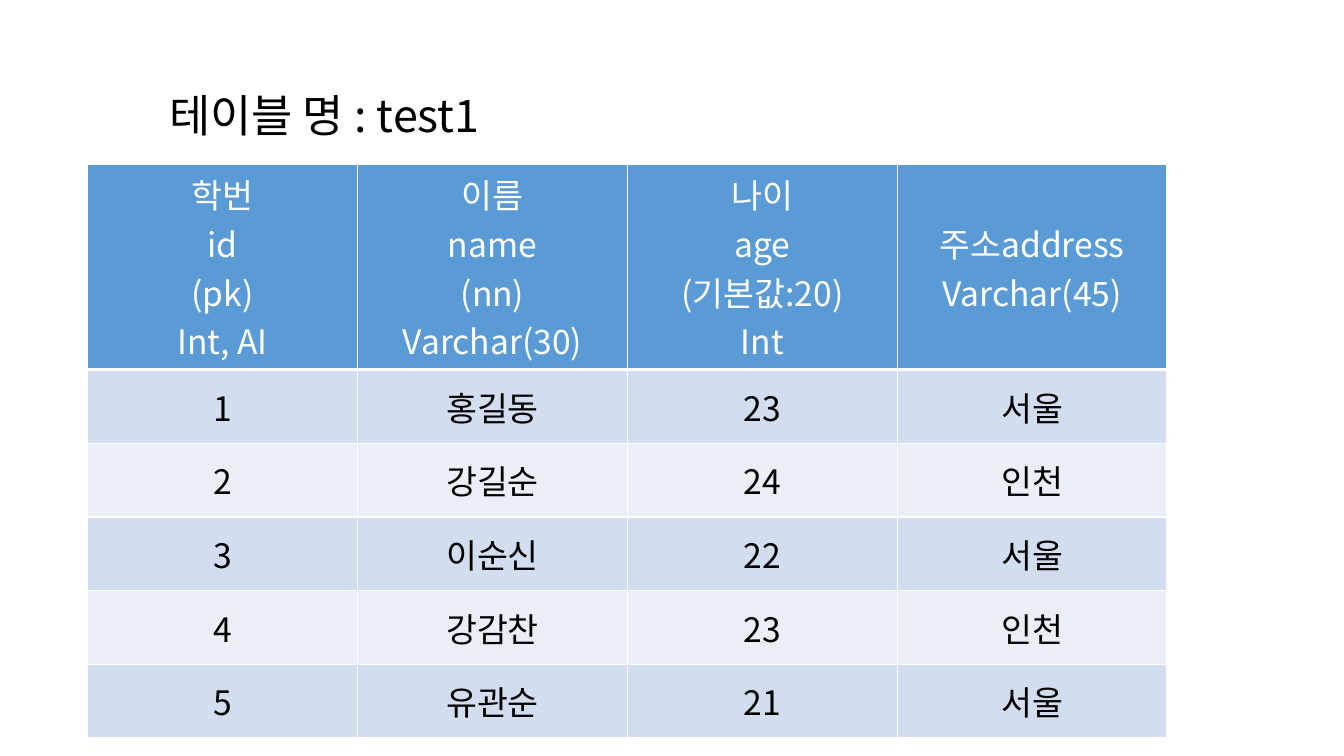
from lxml import etree
from pptx import Presentation
from pptx.dml.color import RGBColor
from pptx.enum import text
from pptx.oxml.ns import qn
from pptx.util import Pt

FONT = "Noto Sans CJK KR"
WHITE, BLACK, BLUE = "FFFFFF", "000000", "5B9BD5"
BANDS = ("D2DEEF", "EAEFF7")
HEADER = (
    ("학번", "id", "(pk)", "Int, AI"),
    ("이름", "name", "(nn)", "Varchar(30)"),
    ("나이", "age", "(기본값:20)", "Int"),
    ("주소address", "Varchar(45)"),
)
STUDENTS = (
    ("1", "홍길동", "23", "서울"),
    ("2", "강길순", "24", "인천"),
    ("3", "이순신", "22", "서울"),
    ("4", "강감찬", "23", "인천"),
    ("5", "유관순", "21", "서울"),
)
COL_W, HEADER_H, ROW_H = 192.75, 146, 52.65


def rgb(value):
    return RGBColor.from_string(value)


def write(tf, lines, size, color, align):
    for i, line in enumerate(lines):
        p = tf.paragraphs[0] if i == 0 else tf.add_paragraph()
        p.alignment = align
        r = p.add_run()
        r.text = line
        for name, value in {"size": Pt(size), "name": FONT}.items():
            setattr(r.font, name, value)
        r.font.color.rgb = rgb(color)
        # East Asian typeface
        etree.SubElement(r.font._element, qn("a:ea"), typeface=FONT)


def add_borders(cell, bottom):
    tcPr = cell._tc.get_or_add_tcPr()
    for side, width in {"L": 1, "R": 1, "T": 1, "B": bottom}.items():
        ln = etree.SubElement(tcPr, qn("a:ln" + side), w=str(Pt(width)))
        fill = etree.SubElement(ln, qn("a:solidFill"))
        etree.SubElement(fill, qn("a:srgbClr"), val=WHITE)


def fill_cell(cell, lines, fill, color, bottom=1):
    add_borders(cell, bottom)
    cell.fill.solid()
    cell.fill.fore_color.rgb = rgb(fill)
    cell.vertical_anchor = text.MSO_ANCHOR.MIDDLE
    write(cell.text_frame, lines, 24, color, text.PP_ALIGN.CENTER)


def add_title(s, title, left, top, width, height):
    tf = s.shapes.add_textbox(Pt(left), Pt(top), Pt(width), Pt(height)).text_frame
    fmt = {"word_wrap": False, "auto_size": text.MSO_AUTO_SIZE.SHAPE_TO_FIT_TEXT}
    for name, value in fmt.items():
        setattr(tf, name, value)
    write(tf, [title], 32, BLACK, text.PP_ALIGN.LEFT)


def add_student_table(s, left, top):
    rows, cols = len(STUDENTS) + 1, len(HEADER)
    height = HEADER_H + ROW_H * len(STUDENTS)
    table = s.shapes.add_table(rows, cols, Pt(left), Pt(top),
                               Pt(COL_W * cols), Pt(height)).table
    for i, row in enumerate(table.rows):
        row.height = Pt(ROW_H if i else HEADER_H)
    # Column definitions
    for c, lines in enumerate(HEADER):
        table.columns[c].width = Pt(COL_W)
        fill_cell(table.cell(0, c), lines, BLUE, WHITE, bottom=3)
    # Student records
    for i, student in enumerate(STUDENTS):
        for c, value in enumerate(student):
            fill_cell(table.cell(i + 1, c), [value], BANDS[i % 2], BLACK)


def main():
    prs = Presentation()
    prs.slide_width, prs.slide_height = Pt(960), Pt(540)
    s = prs.slides.add_slide(prs.slide_layouts[6])
    add_student_table(s, 62.7, 117.5)
    add_title(s, "테이블 명 : test1", 113.8, 59, 256.3, 46)
    prs.save("out.pptx")


if __name__ == "__main__":
    main()
